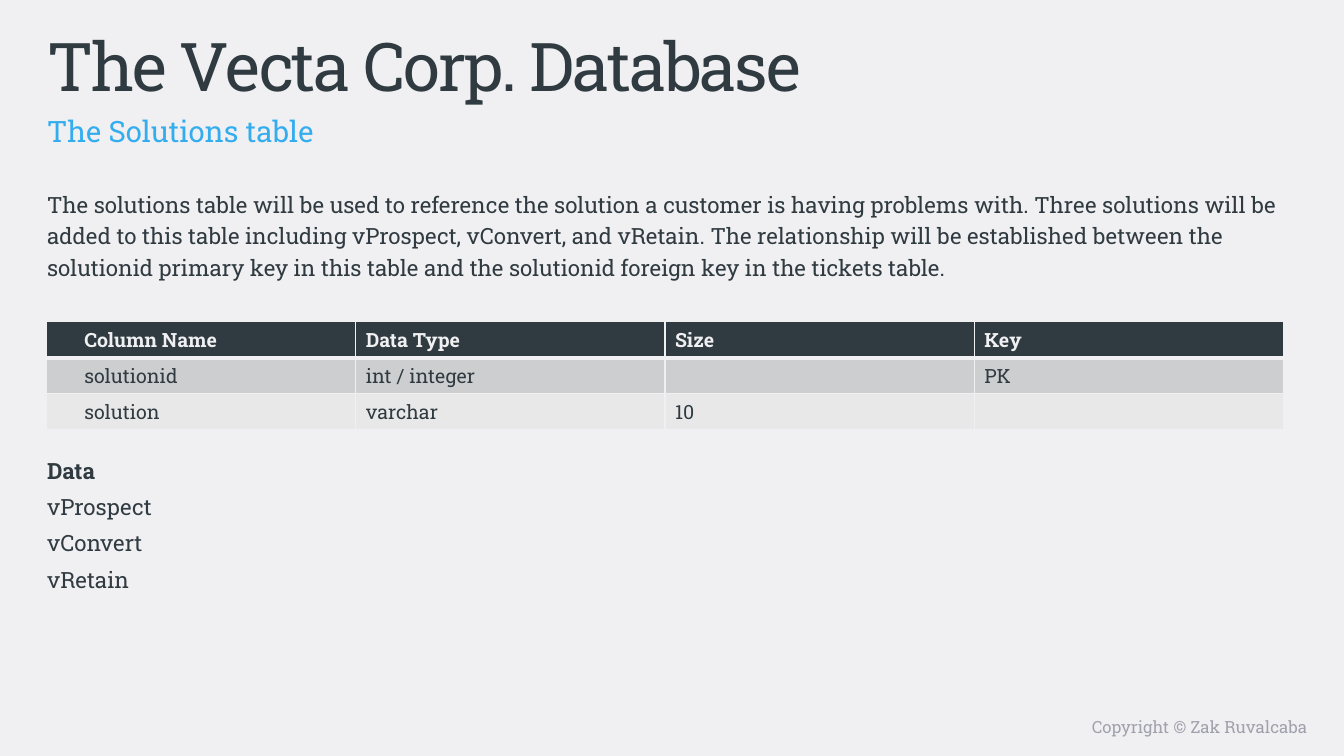
from dataclasses import dataclass

from lxml import etree
from pptx import Presentation
from pptx.dml.color import RGBColor
from pptx.enum import text
from pptx.oxml import ns
from pptx.util import Pt


@dataclass(frozen=True)
class Theme:
    font: str = "Roboto Slab"
    background: str = "F0F0F2"
    ink: str = "303B41"
    accent: str = "34ADEF"
    muted: str = "A1A1AD"
    bands: tuple[str, ...] = ("CDCECF", "E8E8E9")
    title: float = 48
    subtitle: float = 21
    body: float = 16
    cell: float = 14
    footer: float = 12


@dataclass(frozen=True)
class TextBlock:
    box: tuple[float, float, float, float]
    lines: tuple[str, ...]
    size: float
    color: str
    line_spacing: float = 1.0
    space_before: float = 0
    bold_first: bool = False
    align: text.PP_ALIGN = text.PP_ALIGN.LEFT


THEME = Theme()
LEFT = 26.6

BLOCKS = (
    TextBlock((LEFT, 70, 846.7, 30), ("The Solutions table",),
              THEME.subtitle, THEME.accent, 1.3),
    TextBlock((LEFT, 129.6, 906.5, 90), (
        "The solutions table will be used to reference the solution a customer is "
        "having problems with. Three solutions will be added to this table including "
        "vProspect, vConvert, and vRetain. The relationship will be established between "
        "the solutionid primary key in this table and the solutionid foreign key in the "
        "tickets table.",), THEME.body, THEME.ink, 1.17),
    TextBlock((LEFT, 319.6, 906.5, 122), ("Data", "vProspect", "vConvert", "vRetain"),
              THEME.body, THEME.ink, 1.17, 3.5, bold_first=True),
    TextBlock((480.2, 508.3, 460.8, 22.3), ("Copyright © Zak Ruvalcaba",),
              THEME.footer, THEME.muted, align=text.PP_ALIGN.RIGHT),
)

TABLE_BOX = (33.3, 229.9, 883.4, 77.1)
TABLE_ROWS = (
    ("Column Name", "Data Type", "Size", "Key"),
    ("solutionid", "int / integer", "", "PK"),
    ("solution", "varchar", "10", ""),
)


def rgb(value: str) -> RGBColor:
    return RGBColor.from_string(value)


def format_runs(p, size: float, color: str, bold: bool = False) -> None:
    for r in p.runs:
        r.font.name = THEME.font
        r.font.size = Pt(size)
        r.font.color.rgb = rgb(color)
        r.font.bold = bold


def place(sp, box: tuple[float, float, float, float]) -> None:
    sp.left, sp.top, sp.width, sp.height = map(Pt, box)


def add_title(slide, wording: str) -> None:
    sp = slide.shapes.title
    place(sp, (LEFT, 15.1, 846.7, 56.9))
    tf = sp.text_frame
    tf.text = wording
    tf.word_wrap = True
    tf.auto_size = text.MSO_AUTO_SIZE.NONE
    tf.vertical_anchor = text.MSO_ANCHOR.TOP
    tf.margin_top = Pt(2)
    p = tf.paragraphs[0]
    p.alignment = text.PP_ALIGN.LEFT
    p.line_spacing = 1.0
    format_runs(p, THEME.title, THEME.ink)
    p.runs[0].font._element.set("spc", "-150")


def add_block(slide, block: TextBlock) -> None:
    tf = slide.shapes.add_textbox(*map(Pt, block.box)).text_frame
    tf.word_wrap = True
    for i, line in enumerate(block.lines):
        p = tf.add_paragraph() if i else tf.paragraphs[0]
        p.text = line
        p.alignment = block.align
        p.line_spacing = block.line_spacing
        if i:
            p.space_before = Pt(block.space_before)
        format_runs(p, block.size, block.color, block.bold_first and i == 0)


def set_borders(cell, color: str, bottom: float, top: float) -> None:
    # Border lines come before the fill in the cell properties
    tc_pr = cell._tc.get_or_add_tcPr()
    edges = {"lnL": 1, "lnR": 1, "lnT": top, "lnB": bottom}
    for i, (edge, width) in enumerate(edges.items()):
        ln = etree.Element(ns.qn(f"a:{edge}"), w=str(int(Pt(width))))
        fill = etree.SubElement(ln, ns.qn("a:solidFill"))
        etree.SubElement(fill, ns.qn("a:srgbClr"), val=color)
        tc_pr.insert(i, ln)


def add_column_table(slide) -> None:
    count = len(TABLE_ROWS[0])
    table = slide.shapes.add_table(len(TABLE_ROWS), count, *map(Pt, TABLE_BOX)).table
    for column in table.columns:
        column.width = Pt(TABLE_BOX[2] / count)
    for i, row in enumerate(TABLE_ROWS):
        table.rows[i].height = Pt(TABLE_BOX[3] / len(TABLE_ROWS))
        header = i == 0
        for j, wording in enumerate(row):
            cell = table.cell(i, j)
            cell.fill.solid()
            cell.fill.fore_color.rgb = rgb(THEME.ink if header else THEME.bands[i - 1])
            set_borders(cell, THEME.background, 3 if header else 1, 3 if i == 1 else 1)
            if j == 0:
                cell.margin_left = Pt(27)
            p = cell.text_frame.paragraphs[0]
            if wording:
                p.text = wording
                format_runs(p, THEME.cell, THEME.background if header else THEME.ink, header)
            else:
                # Keep empty cells as low as the filled ones
                end = etree.SubElement(p._p, ns.qn("a:endParaRPr"), sz=str(int(THEME.cell * 100)))
                etree.SubElement(end, ns.qn("a:latin"), typeface=THEME.font)


def main() -> None:
    prs = Presentation()
    prs.slide_width, prs.slide_height = Pt(960), Pt(540)
    slide = prs.slides.add_slide(prs.slide_layouts[5])
    slide.background.fill.solid()
    slide.background.fill.fore_color.rgb = rgb(THEME.background)

    add_title(slide, "The Vecta Corp. Database")
    for block in BLOCKS:
        add_block(slide, block)
    add_column_table(slide)

    prs.save("out.pptx")


if __name__ == "__main__":
    main()
